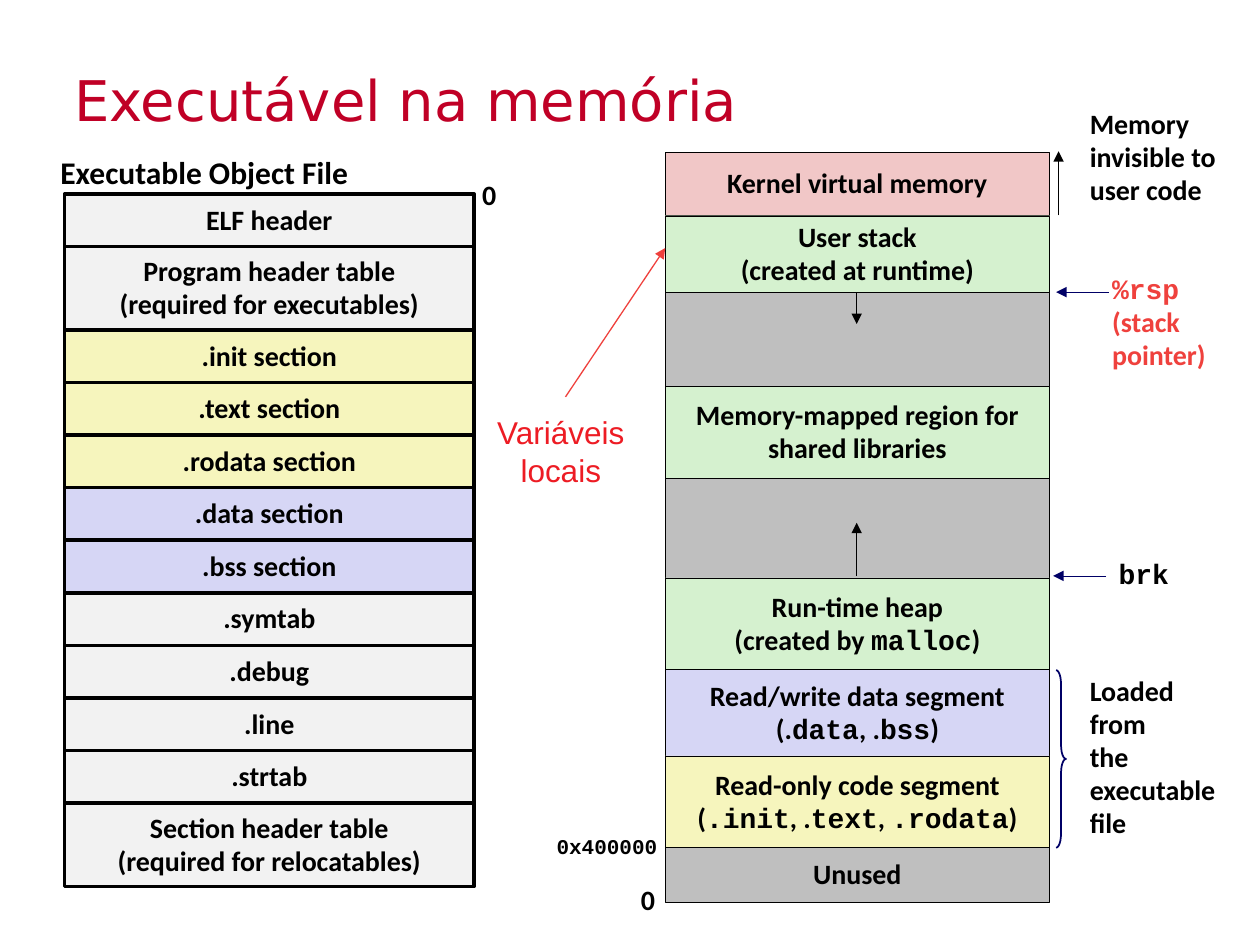
from dataclasses import dataclass

from lxml.etree import SubElement
from pptx import Presentation
from pptx.dml.color import RGBColor
from pptx.enum.shapes import MSO_CONNECTOR, MSO_SHAPE
from pptx.enum.text import MSO_ANCHOR as Anchor, MSO_AUTO_SIZE, PP_ALIGN as Align
from pptx.oxml.ns import qn
from pptx.util import Cm, Pt

BLACK = RGBColor(0x00, 0x00, 0x00)
CRIMSON = RGBColor(0xC0, 0x00, 0x26)
RED = RGBColor(0xED, 0x1C, 0x24)
CORAL = RGBColor(0xEF, 0x41, 0x3D)
NAVY = RGBColor(0x00, 0x00, 0x66)
LIGHT = RGBColor(0xF2, 0xF2, 0xF2)
GRAY = RGBColor(0xBF, 0xBF, 0xBF)
YELLOW = RGBColor(0xF6, 0xF5, 0xBD)
LILAC = RGBColor(0xD6, 0xD6, 0xF5)
PINK = RGBColor(0xF1, 0xC7, 0xC7)
GREEN = RGBColor(0xD5, 0xF1, 0xCF)
MONO = "Courier New"


# All positions and sizes below are in centimetres.
@dataclass(frozen=True)
class Block:
    text: str
    fill: RGBColor
    height: float


@dataclass(frozen=True)
class Label:
    text: str
    left: float
    top: float
    width: float
    height: float
    color: RGBColor = BLACK
    size: float = 16
    font: str = "Calibri"
    bold: bool = True
    align: Align = Align.LEFT
    wrap: bool = False


@dataclass(frozen=True)
class Arrow:
    start: tuple[float, float]
    end: tuple[float, float]
    color: RGBColor = BLACK
    width: float = 0.25


SINGLE, DOUBLE = 1.06, 1.68
FILE_LEFT, FILE_TOP, FILE_WIDTH = 1.3, 3.91, 8.26
FILE_BLOCKS = [
    Block("ELF header", LIGHT, SINGLE),
    Block("Program header table\n(required for executables)", LIGHT, DOUBLE),
    Block(".init section", YELLOW, SINGLE),
    Block(".text section", YELLOW, SINGLE),
    Block(".rodata section", YELLOW, SINGLE),
    Block(".data section", LILAC, SINGLE),
    Block(".bss section", LILAC, SINGLE),
    Block(".symtab", LIGHT, SINGLE),
    Block(".debug", LIGHT, SINGLE),
    Block(".line", LIGHT, SINGLE),
    Block(".strtab", LIGHT, SINGLE),
    Block("Section header table\n(required for relocatables)", LIGHT, DOUBLE),
]

# Text between backticks is set in the monospaced font.
MEMORY_LEFT, MEMORY_TOP, MEMORY_WIDTH = 13.41, 3.07, 7.75
MEMORY_BLOCKS = [
    Block("Kernel virtual memory", PINK, 1.28),
    Block("User stack\n(created at runtime)", GREEN, 1.54),
    Block("", GRAY, 1.9),
    Block("Memory-mapped region for\nshared libraries", GREEN, 1.86),
    Block("", GRAY, 2.0),
    Block("Run-time heap\n(created by `malloc`)", GREEN, 1.85),
    Block("Read/write data segment\n(.`data`, .`bss`)", LILAC, 1.74),
    Block("Read-only code segment\n(`.init`, .`text`, `.rodata`)", YELLOW, 1.85),
    Block("Unused", GRAY, 1.1),
]

LABELS = [
    Label("Executable Object File", 0.97, 3.0, 6.3, 0.99, size=18, align=Align.CENTER),
    Label("0", 9.47, 3.48, 0.79, 0.91),
    Label("0", 12.67, 17.7, 0.79, 0.91),
    Label("`0x400000`", 10.97, 16.71, 2.54, 0.74, size=12),
    Label("Memory\ninvisible to user code", 21.72, 2.06, 3.66, 2.24, wrap=True),
    Label("`%rsp`\n(stack\npointer)", 22.17, 5.41, 2.39, 2.21, color=CORAL),
    Label("`brk`", 22.3, 11.15, 1.52, 0.89),
    Label("Loaded\nfrom\nthe\nexecutable\nfile", 21.72, 13.49, 3.15, 3.56),
    Label("Variáveis\nlocais", 9.55, 8.2, 3.51, 1.68, color=RED, size=18,
          font="Arial", bold=False, align=Align.CENTER, wrap=True),
]

ARROWS = [
    Arrow((17.27, 11.61), (17.27, 10.54)),
    Arrow((17.27, 5.89), (17.27, 6.53)),
    Arrow((21.34, 4.34), (21.34, 3.05)),
    Arrow((22.35, 5.89), (21.29, 5.89), NAVY),
    Arrow((22.3, 11.61), (21.23, 11.61), NAVY),
    Arrow((11.4, 8.0), (13.41, 5.0), CORAL, 0.75),
]


def write_text(shape, text: str, *, size: float = 16, font: str = "Calibri",
               color: RGBColor = BLACK, bold: bool = True, align: Align = Align.CENTER,
               anchor: Anchor = Anchor.MIDDLE, wrap: bool = False,
               spacing: float | None = 0.98) -> None:
    frame = shape.text_frame
    frame.auto_size = MSO_AUTO_SIZE.NONE
    frame.word_wrap = wrap
    frame.vertical_anchor = anchor
    for index, line in enumerate(text.split("\n")):
        paragraph = frame.add_paragraph() if index else frame.paragraphs[0]
        paragraph.alignment = align
        if spacing:
            paragraph.line_spacing = 0.94 if line.startswith("`") else spacing
        for part, piece in enumerate(line.split("`")):
            if not piece:
                continue
            run = paragraph.add_run()
            run.text = piece
            run.font.name = MONO if part % 2 else font
            run.font.size = Pt(size)
            run.font.bold = bold
            run.font.color.rgb = color


def draw_stack(slide, blocks: list[Block], left: float, top: float, width: float,
               line_width: float) -> None:
    """Draw blocks one below the other without gaps."""
    for block in blocks:
        shape = slide.shapes.add_shape(MSO_SHAPE.RECTANGLE, Cm(left), Cm(top),
                                       Cm(width), Cm(block.height))
        shape.shadow.inherit = False
        shape.fill.solid()
        shape.fill.fore_color.rgb = block.fill
        shape.line.color.rgb = BLACK
        shape.line.width = Pt(line_width)
        if block.text:
            write_text(shape, block.text)
        top += block.height


def draw_label(slide, label: Label) -> None:
    box = slide.shapes.add_textbox(Cm(label.left), Cm(label.top),
                                   Cm(label.width), Cm(label.height))
    write_text(box, label.text, size=label.size, font=label.font, color=label.color,
               bold=label.bold, align=label.align, anchor=Anchor.TOP, wrap=label.wrap,
               spacing=0.98 if label.bold else None)


def draw_arrow(slide, arrow: Arrow) -> None:
    points = [Cm(value) for value in (*arrow.start, *arrow.end)]
    connector = slide.shapes.add_connector(MSO_CONNECTOR.STRAIGHT, *points)
    connector.line.color.rgb = arrow.color
    connector.line.width = Pt(arrow.width)
    properties = connector.line._get_or_add_ln()
    SubElement(properties, qn("a:tailEnd"), type="triangle")
    SubElement(connector._element.spPr, qn("a:effectLst"))


def draw_brace(slide) -> None:
    brace = slide.shapes.add_shape(MSO_SHAPE.RIGHT_BRACE, Cm(21.29), Cm(13.51),
                                   Cm(0.2), Cm(3.58))
    brace.adjustments[0] = 1.42
    brace.shadow.inherit = False
    brace.fill.background()
    brace.line.color.rgb = NAVY
    brace.line.width = Pt(1)


def main() -> None:
    presentation = Presentation()
    presentation.slide_width, presentation.slide_height = Cm(25.4), Cm(19.05)
    slide = presentation.slides.add_slide(presentation.slide_layouts[5])

    # Title
    title = slide.shapes.title
    title.left, title.top, title.width, title.height = Cm(1.24), Cm(1.14), Cm(22.86), Cm(1.73)
    write_text(title, "Executável na memória", size=32, font="DejaVu Sans", color=CRIMSON,
               bold=False, align=Align.LEFT, wrap=True, spacing=None)

    # Object file and process memory
    draw_stack(slide, FILE_BLOCKS, FILE_LEFT, FILE_TOP, FILE_WIDTH, 2)
    draw_stack(slide, MEMORY_BLOCKS, MEMORY_LEFT, MEMORY_TOP, MEMORY_WIDTH, 0.25)

    # Annotations
    draw_brace(slide)
    for arrow in ARROWS:
        draw_arrow(slide, arrow)
    for label in LABELS:
        draw_label(slide, label)

    presentation.save("out.pptx")


if __name__ == "__main__":
    main()
